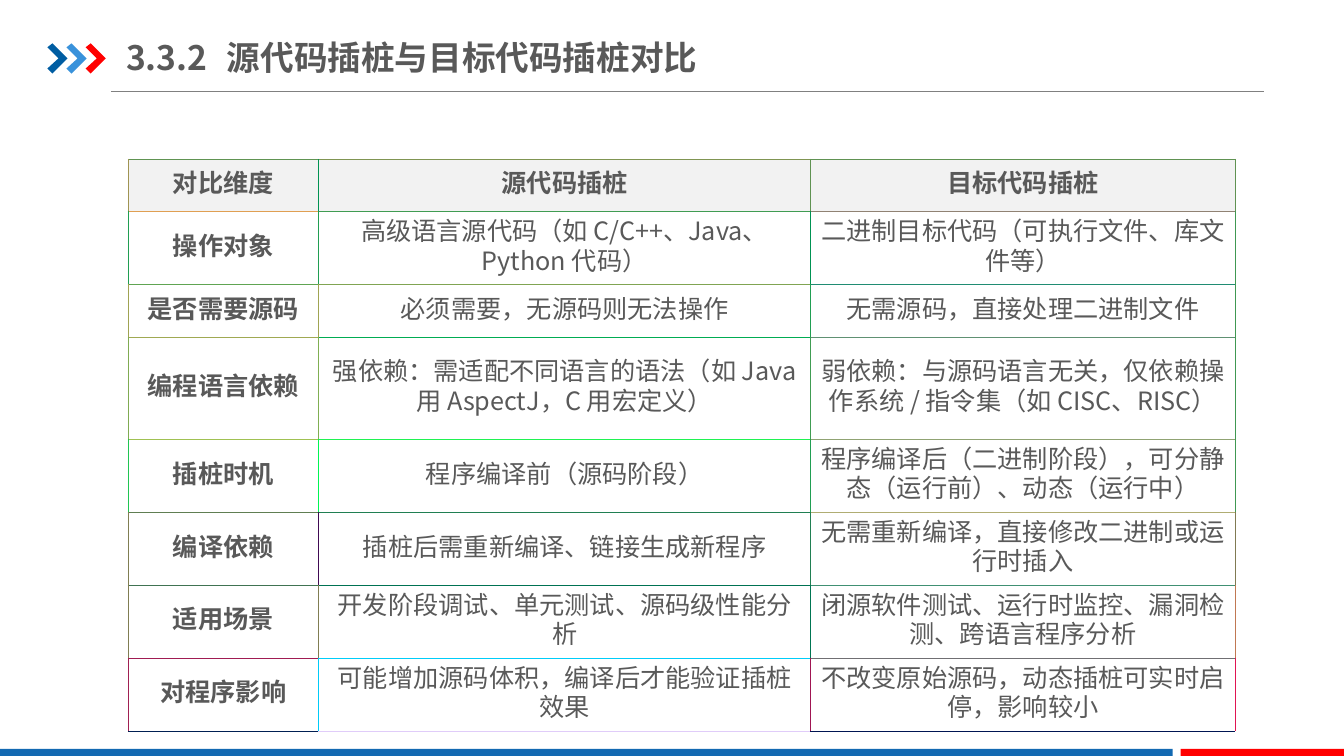
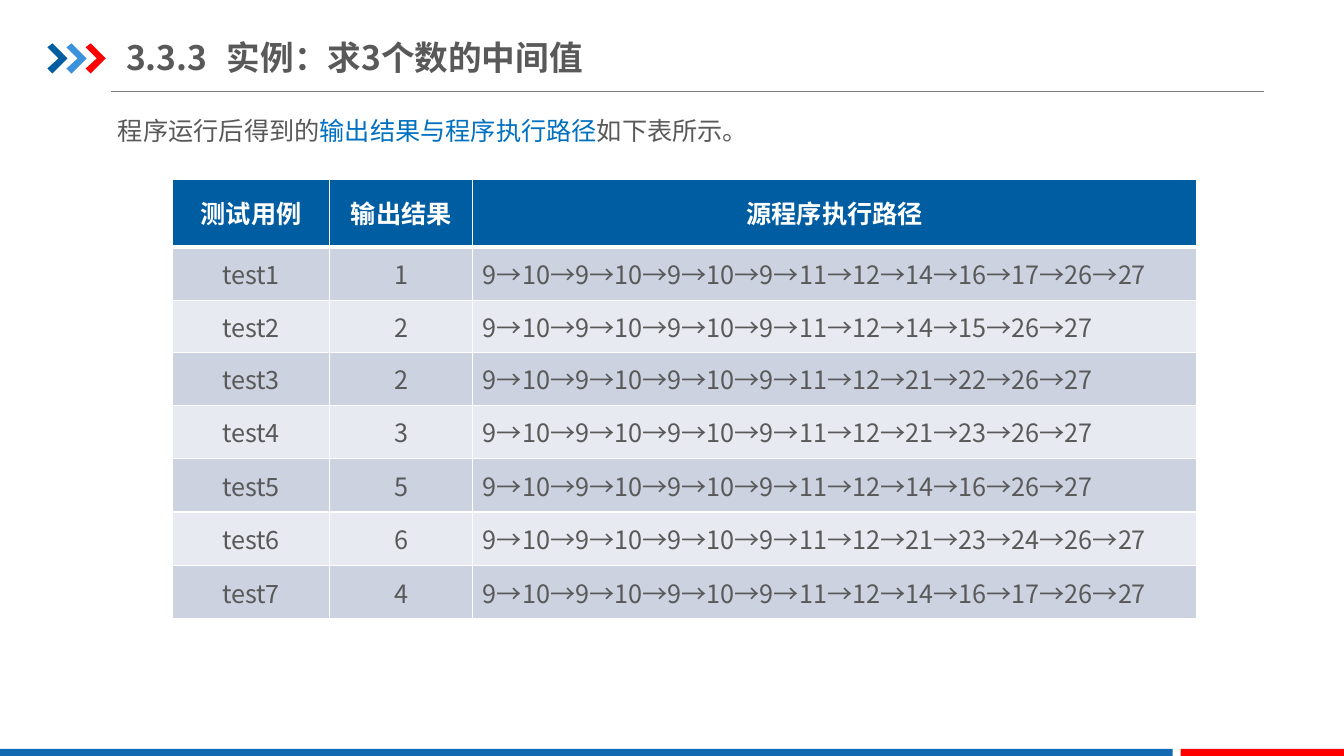
from lxml.etree import SubElement
from pptx import Presentation
from pptx.dml.color import RGBColor
from pptx.enum.shapes import MSO_CONNECTOR, MSO_SHAPE
from pptx.enum.text import MSO_ANCHOR, MSO_AUTO_SIZE, PP_ALIGN
from pptx.oxml.ns import qn
from pptx.util import Pt

PX = 9144  # EMU per px, 100 px to the inch
FONT = "Noto Sans CJK SC"
WHITE = RGBColor(0xFF, 0xFF, 0xFF)
TEXT_GREY = RGBColor(0x59, 0x59, 0x59)
RULE_GREY = RGBColor(0x80, 0x80, 0x80)
HEADER_GREY = RGBColor(0xF2, 0xF2, 0xF2)
DEEP_BLUE = RGBColor(0x00, 0x5D, 0xA2)
LIGHT_BLUE = RGBColor(0x39, 0x92, 0xDB)
BAND_BLUE = RGBColor(0x13, 0x69, 0xB2)
KEY_BLUE = RGBColor(0x00, 0x70, 0xC0)
RED = RGBColor(0xFF, 0x00, 0x00)
ROW_DARK = RGBColor(0xCC, 0xD2, 0xE0)
ROW_LIGHT = RGBColor(0xE7, 0xEA, 0xF0)

# Shared decoration
CHEVRON = [(0, 4), (5, 0), (20, 15), (5, 30), (0, 25), (11, 15)]
CHEVRON_COLORS = [DEEP_BLUE, LIGHT_BLUE, RED]
BANDS = [((0, 743, 1163, 7), BAND_BLUE), ((1171, 743, 162, 7), RED)]

# Slide 1: comparison
COMPARISON_TITLE = ("3.3.2", "源代码插桩与目标代码插桩对比")
COMPARISON_COLUMNS = [189, 488, 421]
COMPARISON_HEIGHTS = [52, 71, 52, 71, 71, 52, 71, 52]
COMPARISON = [
    ("对比维度", "源代码插桩", "目标代码插桩"),
    ("操作对象", "高级语言源代码（如 C/C++、Java、Python 代码）",
     "二进制目标代码（可执行文件、库文件等）"),
    ("是否需要源码", "必须需要，无源码则无法操作", "无需源码，直接处理二进制文件"),
    ("编程语言依赖", "强依赖：需适配不同语言的语法（如 Java 用 AspectJ，C 用宏定义）",
     "弱依赖：与源码语言无关，仅依赖操作系统 / 指令集（如 CISC、RISC）"),
    ("插桩时机", "程序编译前（源码阶段）",
     "程序编译后（二进制阶段），可分静态（运行前）、动态（运行中）"),
    ("编译依赖", "插桩后需重新编译、链接生成新程序",
     "无需重新编译，直接修改二进制或运行时插入"),
    ("适用场景", "开发阶段调试、单元测试、源码级性能分析",
     "闭源软件测试、运行时监控、漏洞检测、跨语言程序分析"),
    ("对程序影响", "可能增加源码体积，编译后才能验证插桩效果",
     "不改变原始源码，动态插桩可实时启停，影响较小"),
]
# Grid line colours: upright edges of each row, then level edges from top to bottom
UPRIGHT_EDGES = [
    ("A09452", "009352", "609252", "609252"),
    ("209E52", "209E52", "009252", "409852"),
    ("A0A352", "A0A452", "209E52", "409852"),
    ("80AB52", "80AF52", "409C52", "409852"),
    ("20C552", "00F652", "209E52", "409852"),
    ("807E52", "400A53", "207F52", "807A52"),
    ("807D52", "807D52", "007552", "C07852"),
    ("A02052", "00CBF9", "A01552", "E01452"),
]
LEVEL_EDGES = [
    ("609452", "809552", "609252"),
    ("E09F52", "409C52", "908273"),
    ("60A452", "80A452", "208C73"),
    ("A0A952", "00AC52", "609173"),
    ("A0C152", "20F252", "90A373"),
    ("607E52", "207F52", "B0AD73"),
    ("407352", "007252", "409073"),
    ("A01B52", "00CDF9", "706F73"),
    ("001F52", "E0CCF9", "001552"),
]

# Slide 2: test results
RESULTS_TITLE = ("3.3.3", "实例：求3个数的中间值")
RESULTS_INTRO = [("程序运行后得到的", TEXT_GREY), ("输出结果与程序执行路径", KEY_BLUE),
                 ("如下表所示。", TEXT_GREY)]
RESULTS_COLUMNS = [156, 142, 718]
RESULTS_HEIGHTS = [67, 53, 52, 52, 53, 53, 53, 53]
PATH_START = "9→10→9→10→9→10→9→11→12→"
RESULTS = [
    ("测试用例", "输出结果", "源程序执行路径"),
    ("test1", "1", PATH_START + "14→16→17→26→27"),
    ("test2", "2", PATH_START + "14→15→26→27"),
    ("test3", "2", PATH_START + "21→22→26→27"),
    ("test4", "3", PATH_START + "21→23→26→27"),
    ("test5", "5", PATH_START + "14→16→26→27"),
    ("test6", "6", PATH_START + "21→23→24→26→27"),
    ("test7", "4", PATH_START + "14→16→17→26→27"),
]


def px(*lengths):
    return [length * PX for length in lengths]


def set_all(target, values):
    for name, value in values.items():
        setattr(target, name, value)


def add_run(paragraph, text, color, size=18, bold=False):
    run = paragraph.add_run()
    run.text = text
    set_all(run.font, {"name": FONT, "size": Pt(size), "bold": bold})
    run.font.color.rgb = color
    SubElement(run.font._element, qn("a:ea"), typeface=FONT)


def place(placeholder, box, margins, anchor):
    set_all(placeholder, dict(zip(("left", "top", "width", "height"), px(*box))))
    side, end = px(*margins)
    set_all(placeholder.text_frame, {
        "margin_left": side, "margin_right": side, "margin_top": end, "margin_bottom": end,
        "vertical_anchor": anchor, "word_wrap": True, "auto_size": MSO_AUTO_SIZE.NONE})
    return placeholder.text_frame.paragraphs[0]


def add_title(slide, title, width):
    paragraph = place(slide.shapes.title, (125, 29, width, 55), (0, 7), MSO_ANCHOR.MIDDLE)
    paragraph.alignment = PP_ALIGN.LEFT
    add_run(paragraph, "\t".join(title), TEXT_GREY, 24, True)


def decorate_master(master, slide):
    """Draw the shared parts on a slide, then move them to the master."""
    shapes = slide.shapes
    rule = shapes.add_connector(MSO_CONNECTOR.STRAIGHT, *px(110, 91, 1254, 91))
    rule.line.color.rgb = RULE_GREY
    rule.line.width = Pt(0.75)
    SubElement(rule.element.find(qn("p:spPr")), qn("a:effectLst"))

    filled = []
    for i, color in enumerate(CHEVRON_COLORS):
        points = [(47 + 19 * i + x, 43 + y) for x, y in CHEVRON]
        outline = shapes.build_freeform(*points[0], scale=PX)
        outline.add_line_segments(points[1:], close=True)
        filled.append((outline.convert_to_shape(), color))
    for box, color in BANDS:
        filled.append((shapes.add_shape(MSO_SHAPE.RECTANGLE, *px(*box)), color))
    for part, color in filled:
        part.shadow.inherit = False
        part.fill.solid()
        part.fill.fore_color.rgb = color
        part.line.fill.background()

    for i, part in enumerate([rule] + [part for part, _ in filled]):
        part.element.xpath(".//p:cNvPr")[0].set("id", str(100 + i))
        master.shapes.element.append(part.element)


def set_borders(cell, edges):
    """Set edges given as (colour, points) in the order left, right, top, bottom."""
    properties = cell._tc.get_or_add_tcPr()
    for i, (side, (color, points)) in enumerate(zip("LRTB", edges)):
        edge = SubElement(properties, qn("a:ln" + side), w=str(Pt(points)))
        SubElement(SubElement(edge, qn("a:solidFill")), qn("a:srgbClr"), val=str(color))
        properties.insert(i, edge)


def add_grid(slide, left, top, columns, heights, rows, margin, cell_format):
    """Build a table; cell_format(r, c) gives fill, text colour, bold, alignment,
    line spacing and edges."""
    table = slide.shapes.add_table(len(rows), len(columns), *px(
        left, top, sum(columns), sum(heights))).table
    table.horz_banding = False
    for column, width in zip(table.columns, columns):
        column.width = width * PX
    for r, (row, height) in enumerate(zip(rows, heights)):
        table.rows[r].height = height * PX
        for c, text in enumerate(row):
            fill, color, bold, alignment, spacing, edges = cell_format(r, c)
            cell = table.cell(r, c)
            set_all(cell, {"vertical_anchor": MSO_ANCHOR.MIDDLE,
                           "margin_top": margin * PX, "margin_bottom": margin * PX,
                           "margin_left": 10 * PX, "margin_right": 10 * PX})
            cell.fill.solid()
            cell.fill.fore_color.rgb = fill
            set_borders(cell, edges)
            paragraph = cell.text_frame.paragraphs[0]
            set_all(paragraph, {"alignment": alignment, "line_spacing": spacing})
            add_run(paragraph, text, color, bold=bold)


def comparison_format(r, c):
    edges = [(color, 0.48) for color in (UPRIGHT_EDGES[r][c], UPRIGHT_EDGES[r][c + 1],
                                         LEVEL_EDGES[r][c], LEVEL_EDGES[r + 1][c])]
    fill = WHITE if r else HEADER_GREY
    return fill, TEXT_GREY, r == 0 or c == 0, PP_ALIGN.CENTER, Pt(21), edges


def results_format(r, c):
    top, bottom = (3 if r == 1 else 1), (3 if r == 0 else 1)
    edges = [(WHITE, points) for points in (1, 1, top, bottom)]
    if r == 0:
        return DEEP_BLUE, WHITE, True, PP_ALIGN.CENTER, 0.9, edges
    fill = ROW_DARK if r % 2 else ROW_LIGHT
    alignment = PP_ALIGN.LEFT if c == 2 else PP_ALIGN.CENTER
    return fill, TEXT_GREY, False, alignment, 1.0, edges


def add_intro(slide):
    paragraph = place(slide.placeholders[1], (104, 92, 1125, 59), (13, 7), MSO_ANCHOR.TOP)
    set_all(paragraph, {"alignment": PP_ALIGN.JUSTIFY, "line_spacing": 1.5,
                        "space_before": Pt(0)})
    properties = paragraph._p.get_or_add_pPr()
    set_bullet = {"marL": "0", "indent": "0"}
    for name, value in set_bullet.items():
        properties.set(name, value)
    SubElement(properties, qn("a:buNone"))
    for text, color in RESULTS_INTRO:
        add_run(paragraph, text, color)


def main():
    prs = Presentation()
    prs.slide_width, prs.slide_height = px(1333, 750)
    title_and_body, title_only = prs.slide_layouts[1], prs.slide_layouts[5]

    # Comparison slide
    comparison = prs.slides.add_slide(title_only)
    decorate_master(prs.slide_master, comparison)
    add_title(comparison, COMPARISON_TITLE, 612)
    add_grid(comparison, 127, 158, COMPARISON_COLUMNS, COMPARISON_HEIGHTS, COMPARISON,
             7, comparison_format)

    # Results slide
    results = prs.slides.add_slide(title_and_body)
    add_intro(results)
    add_title(results, RESULTS_TITLE, 516)
    add_grid(results, 171, 178, RESULTS_COLUMNS, RESULTS_HEIGHTS, RESULTS,
             5, results_format)

    prs.save("out.pptx")


if __name__ == "__main__":
    main()
